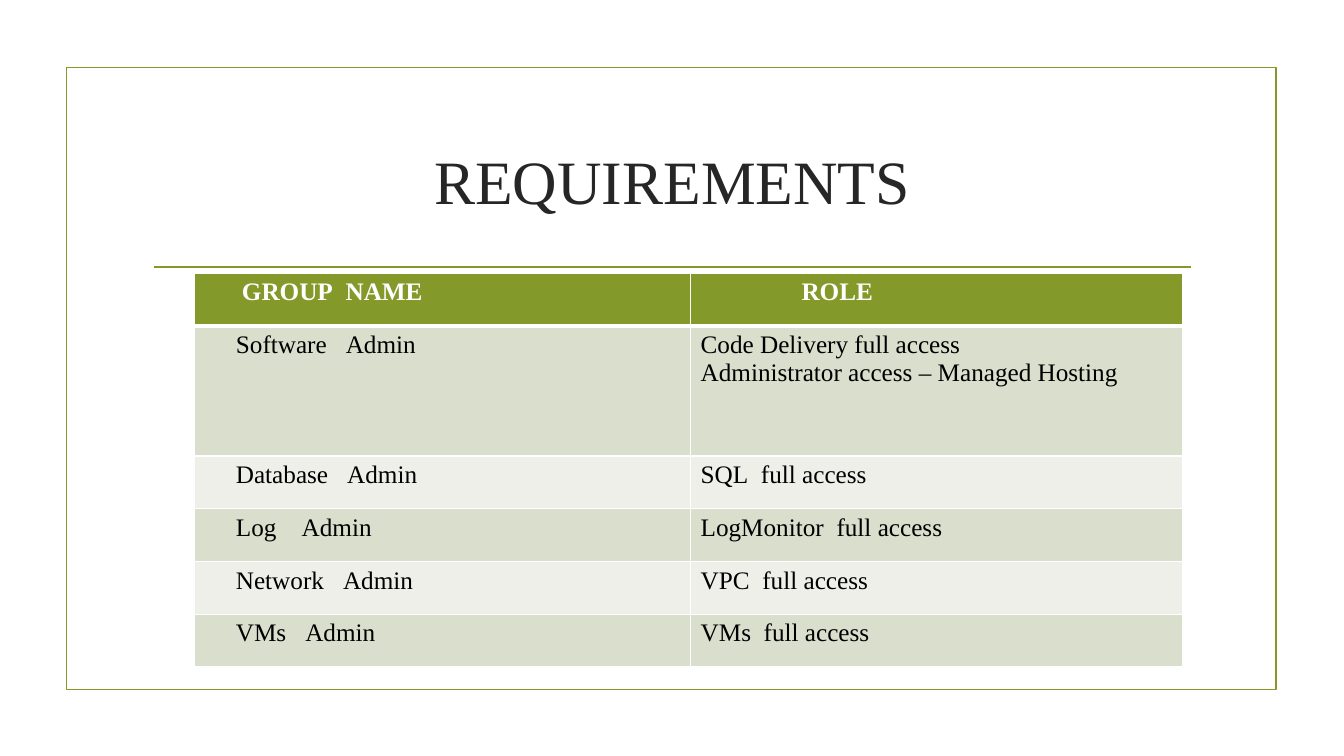
import pptx
import pptx.util
import pptx.dml.color
import pptx.enum.shapes
import pptx.enum.text
import pptx.oxml
import pptx.oxml.ns
from lxml import etree

Inches = pptx.util.Inches
Pt = pptx.util.Pt

TITLE = "REQUIREMENTS"
HEADINGS = [("GROUP", 2, "NAME"), ("ROLE",)]
GROUPS = [
    (("Software", 3, "Admin"), [("Code Delivery full access",),
                                ("Administrator access – Managed Hosting",)]),
    (("Database", 3, "Admin"), [("SQL", 2, "full access")]),
    (("Log", 4, "Admin"), [("LogMonitor", 2, "full access")]),
    (("Network", 3, "Admin"), [("VPC", 2, "full access")]),
    (("VMs", 3, "Admin"), [("VMs", 2, "full access")]),
]
FONT = "Times New Roman"
TABLE_SIZE = 18
SPACE_WIDTH = TABLE_SIZE / 4
OLIVE, INK, BLACK, WHITE = "83992A", "262626", "000000", "FFFFFF"
BANDS = ["D9DECD", "EDEFE8"]
COLUMN_WIDTHS = [4.92, 4.88]
TABLE_HEIGHT, FIRST_GROUP_HEIGHT = 3.91, 1.29
ROW_HEIGHT = (TABLE_HEIGHT - FIRST_GROUP_HEIGHT) / len(GROUPS)
HEADING_INDENTS = [0.47, 1.1]
BODY_INDENTS = [0.41, 0.1]


def color(value):
    return pptx.dml.color.RGBColor.from_string(value)


def add_text(paragraph, text, size, ink, bold=False):
    run = paragraph.add_run()
    run.text = text
    run.font.name = FONT
    run.font.size = Pt(size)
    run.font.bold = bold
    run.font.color.rgb = color(ink)
    return run


def add_line(paragraph, parts, ink, bold):
    for part in parts:
        if isinstance(part, str):
            add_text(paragraph, part, TABLE_SIZE, ink, bold)
        else:
            gap = add_text(paragraph, " ", TABLE_SIZE, ink, bold)
            tracking = int((part - 1) * SPACE_WIDTH * 100)
            gap._r.get_or_add_rPr().set("spc", str(tracking))


def add_borders(cell, bottom_width):
    properties = cell._tc.get_or_add_tcPr()
    widths = {"lnL": 1, "lnR": 1, "lnT": 1, "lnB": bottom_width}
    for position, (side, width) in enumerate(widths.items()):
        border = pptx.oxml.parse_xml(
            f'<a:{side} xmlns:a="http://schemas.openxmlformats.org/drawingml/2006/main" '
            f'w="{Pt(width)}"><a:solidFill><a:srgbClr val="{WHITE}"/></a:solidFill></a:{side}>')
        properties.insert(position, border)


def fill_cell(cell, lines, indent, background, ink, bold, bottom_width):
    cell.margin_left = Inches(indent)
    cell.fill.solid()
    cell.fill.fore_color.rgb = color(background)
    add_borders(cell, bottom_width)
    frame = cell.text_frame
    for index, parts in enumerate(lines):
        paragraph = frame.add_paragraph() if index else frame.paragraphs[0]
        add_line(paragraph, parts, ink, bold)


def add_frame(slide):
    frame = slide.shapes.add_shape(
        pptx.enum.shapes.MSO_SHAPE.RECTANGLE,
        Inches(0.66), Inches(0.67), Inches(12), Inches(6.17))
    frame.shadow.inherit = False
    frame.fill.background()
    frame.line.color.rgb = color(OLIVE)
    frame.line.width = Pt(1.25)


def add_rule(slide):
    rule = slide.shapes.add_connector(
        pptx.enum.shapes.MSO_CONNECTOR.STRAIGHT,
        Inches(1.53), Inches(2.65), Inches(11.81), Inches(2.65))
    rule.line.color.rgb = color(OLIVE)
    rule.line.width = Pt(1.25)
    etree.SubElement(rule._element.spPr, pptx.oxml.ns.qn("a:effectLst"))


def add_title(slide):
    title = slide.shapes.add_textbox(Inches(1.42), Inches(1.07), Inches(10.5), Inches(1.43))
    title.text_frame.word_wrap = True
    title.text_frame.vertical_anchor = pptx.enum.text.MSO_ANCHOR.MIDDLE
    paragraph = title.text_frame.paragraphs[0]
    paragraph.alignment = pptx.enum.text.PP_ALIGN.CENTER
    add_text(paragraph, TITLE, 44, INK)


def add_roles(slide):
    heights = [ROW_HEIGHT, FIRST_GROUP_HEIGHT] + [ROW_HEIGHT] * (len(GROUPS) - 1)
    roles = slide.shapes.add_table(
        len(heights), len(COLUMN_WIDTHS), Inches(1.93), Inches(2.71),
        Inches(sum(COLUMN_WIDTHS)), Inches(TABLE_HEIGHT)).table
    for column, width in zip(roles.columns, COLUMN_WIDTHS):
        column.width = Inches(width)
    for row, height in zip(roles.rows, heights):
        row.height = Inches(height)
    for column, heading in enumerate(HEADINGS):
        fill_cell(roles.cell(0, column), [heading], HEADING_INDENTS[column],
                  OLIVE, WHITE, True, 3)
    for row, (group, access) in enumerate(GROUPS, 1):
        for column, lines in enumerate([[group], access]):
            fill_cell(roles.cell(row, column), lines, BODY_INDENTS[column],
                      BANDS[(row - 1) % 2], BLACK, False, 1)


def main():
    deck = pptx.Presentation()
    deck.slide_width, deck.slide_height = Inches(13.33), Inches(7.5)
    slide = deck.slides.add_slide(deck.slide_layouts[6])
    add_frame(slide)
    add_rule(slide)
    add_title(slide)
    add_roles(slide)
    deck.save("out.pptx")


if __name__ == "__main__":
    main()
